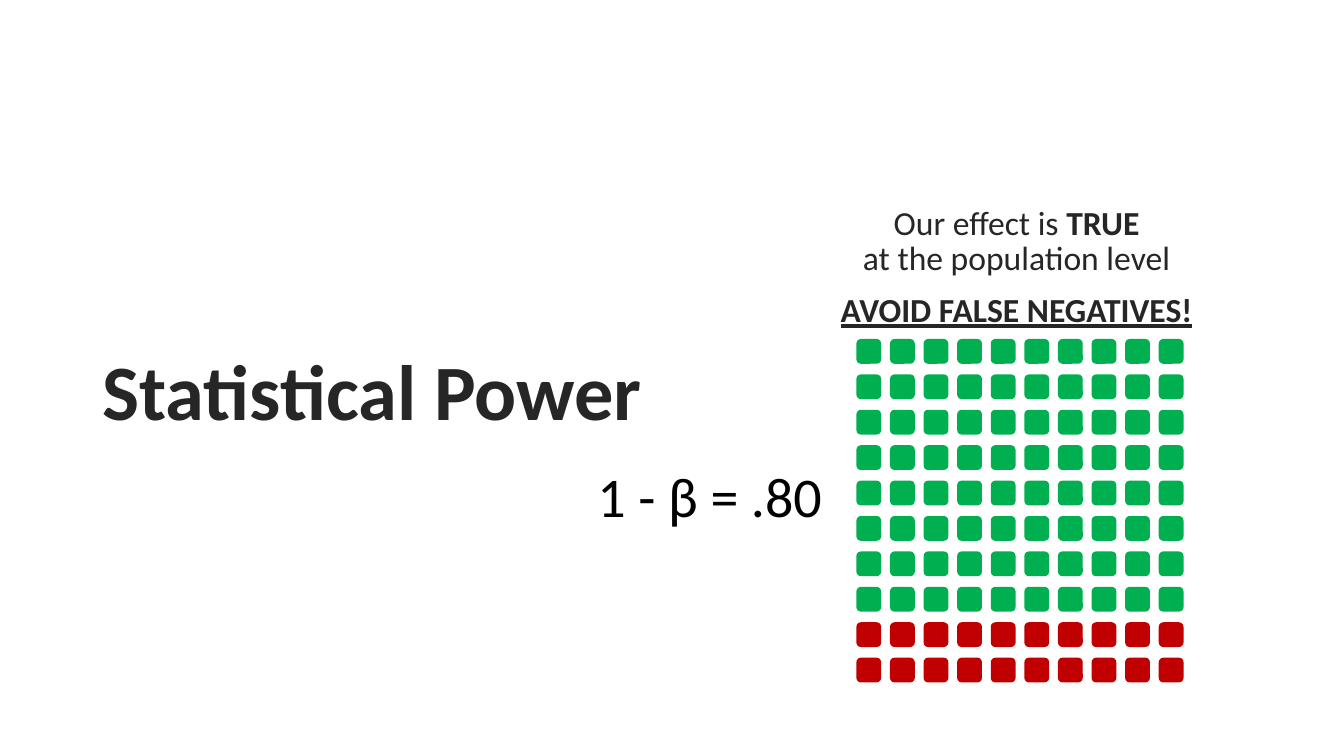
from pptx import Presentation
from pptx.dml.color import RGBColor
from pptx.enum.shapes import MSO_SHAPE
from pptx.enum.text import MSO_ANCHOR, MSO_AUTO_SIZE, PP_ALIGN
from pptx.util import Cm, Pt

ROUNDED = MSO_SHAPE.ROUNDED_RECTANGLE
TOP, MIDDLE = MSO_ANCHOR.TOP, MSO_ANCHOR.MIDDLE
NO_FIT = MSO_AUTO_SIZE.NONE
CENTER = PP_ALIGN.CENTER

FONT = "Calibri"
DARK, BLACK = "262626", "000000"
GREEN, RED = "00B050", "C00000"

COUNT = 10
DETECTED_ROWS = 8
GRID_LEFT, GRID_TOP = 21.6, 8.56
PITCH_X, PITCH_Y = 7.62 / (COUNT - 1), 8.03 / (COUNT - 1)
SQUARE = 0.59


def rgb(value):
    return RGBColor.from_string(value)


def place(s, left, top, width, height):
    s.left, s.top, s.width, s.height = Cm(left), Cm(top), Cm(width), Cm(height)


def setup_frame(s, anchor):
    tf = s.text_frame
    tf.word_wrap = True
    tf.auto_size = NO_FIT
    tf.vertical_anchor = anchor
    return tf


def style_paragraph(p, size, color, bold=False, underline=False):
    p.alignment = CENTER
    p.font.name = FONT
    p.font.size = Pt(size)
    p.font.color.rgb = rgb(color)
    p.font.bold = bold
    p.font.underline = underline


def set_spacing(p):
    p.line_spacing = 0.85
    p.space_before = Pt(13)


def add_title(s):
    place(s, 2.18, 8.86, 14.4, 1.75)
    p = setup_frame(s, TOP).paragraphs[0]
    p.text = "Statistical Power"
    style_paragraph(p, 56, DARK, bold=True)
    set_spacing(p)


def add_square(slide, row, column):
    color = GREEN if row < DETECTED_ROWS else RED
    s = slide.shapes.add_shape(
        ROUNDED,
        Cm(GRID_LEFT + column * PITCH_X),
        Cm(GRID_TOP + row * PITCH_Y),
        Cm(SQUARE),
        Cm(SQUARE),
    )
    s.shadow.inherit = False
    s.fill.solid()
    s.fill.fore_color.rgb = rgb(color)
    s.line.color.rgb = rgb(color)
    s.line.width = Pt(1)


def add_textbox(slide, left, top, width, height, anchor):
    s = slide.shapes.add_textbox(Cm(left), Cm(top), Cm(width), Cm(height))
    return setup_frame(s, anchor)


def add_formula(slide):
    p = add_textbox(slide, 14.76, 11.76, 6.25, 1.45, MIDDLE).paragraphs[0]
    p.text = "1 - β = .80"
    style_paragraph(p, 40, BLACK)


def add_heading(slide):
    tf = add_textbox(slide, 18.42, 5.13, 14.4, 12.09, TOP)
    p = tf.paragraphs[0]
    style_paragraph(p, 24, DARK)
    set_spacing(p)
    p.add_run().text = "Our effect is "
    r = p.add_run()
    r.text = "TRUE"
    r.font.bold = True
    p.add_line_break()
    p.add_run().text = "at the population level"

    p = tf.add_paragraph()
    p.text = "AVOID FALSE NEGATIVES!"
    style_paragraph(p, 24, DARK, bold=True, underline=True)
    set_spacing(p)


def main():
    prs = Presentation()
    prs.slide_width, prs.slide_height = Cm(33.87), Cm(19.05)
    slide = prs.slides.add_slide(prs.slide_layouts[5])
    add_title(slide.shapes.title)
    for row in range(COUNT):
        for column in range(COUNT):
            add_square(slide, row, column)
    add_formula(slide)
    add_heading(slide)
    prs.save("out.pptx")


if __name__ == "__main__":
    main()
